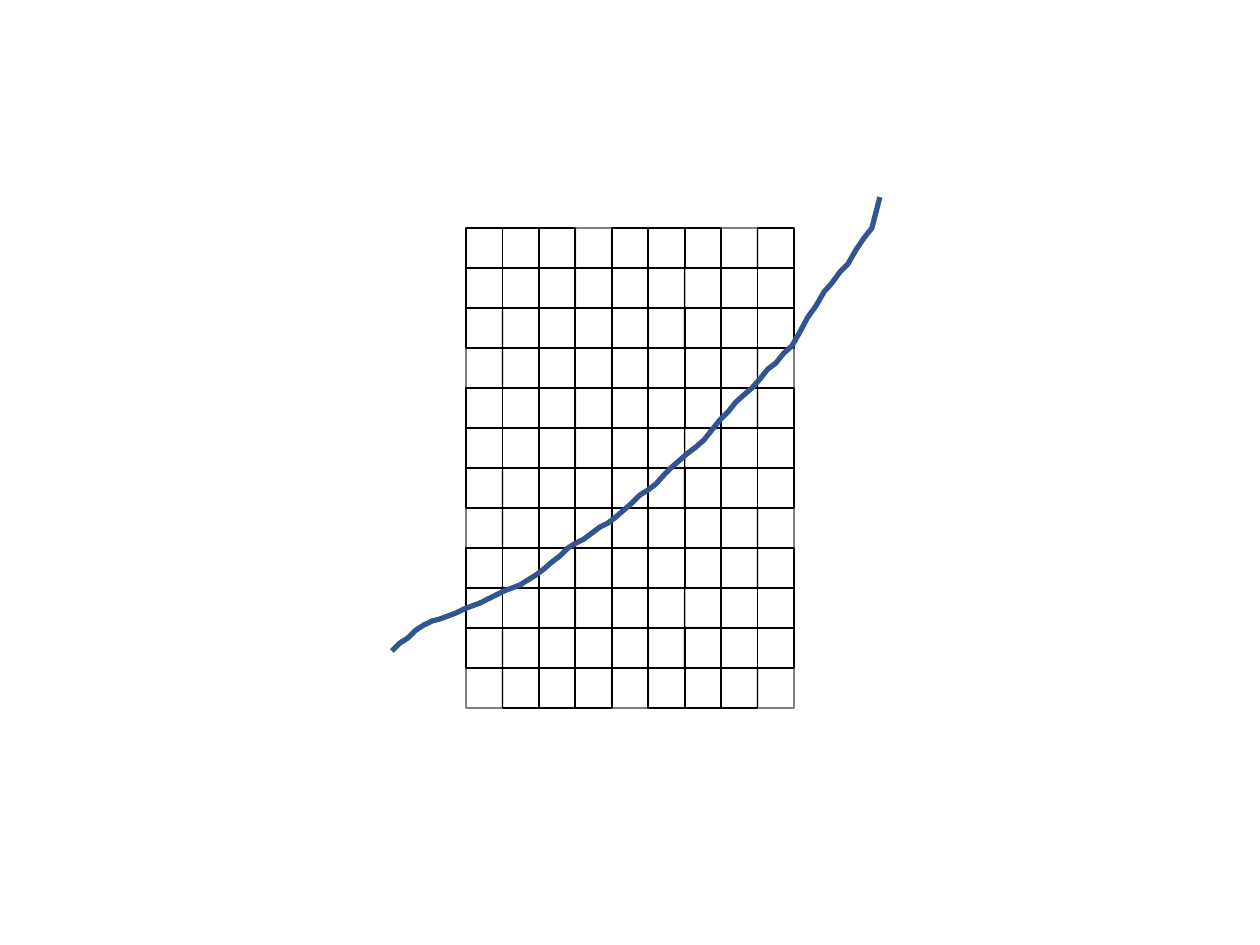
import math
import pptx
import pptx.util
import pptx.dml.color
import pptx.enum.shapes
import lxml.etree

SLIDE_WIDTH, SLIDE_HEIGHT, PX_PER_INCH = 1260, 945, 126
BLACK, BLUE = "000000", "325491"

GRID_LEFT, GRID_TOP, GRID_WIDTH, GRID_HEIGHT = 466, 228, 328, 480
ROWS, COLS = 12, 9
FAINT_EVERY, FAINT_OPACITY = 4, 50

CURVE_LEFT, CURVE_STEP = 392, 8
CURVE_TILT, CURVE_CENTER_X, CURVE_CENTER_Y = 4.7, 637, 425
CURVE_HEIGHTS = [
    651, 643, 638, 630, 625, 621, 619, 616, 613, 609, 606, 603, 599, 595, 591, 588,
    585, 580, 575, 569, 562, 556, 548, 543, 539, 533, 527, 523, 517, 510, 503, 495,
    490, 484, 475, 467, 460, 453, 447, 440, 430, 420, 412, 402, 395, 388, 379, 369,
    363, 353, 346, 332, 317, 306, 292, 283, 272, 264, 250, 238, 228, 197,
]


def px(n):
    return pptx.util.Emu(round(n * 914400 / PX_PER_INCH))


def outline(s, color, width, opacity=100):
    s.shadow.inherit = False
    s.fill.background()
    s.line.width = pptx.util.Pt(width)
    s.line.color.rgb = pptx.dml.color.RGBColor.from_string(color)
    if opacity < 100:
        clr = s.line._get_or_add_ln().find(".//" + pptx.oxml.ns.qn("a:srgbClr"))
        lxml.etree.SubElement(clr, pptx.oxml.ns.qn("a:alpha"), val=str(opacity * 1000))


prs = pptx.Presentation()
prs.slide_width, prs.slide_height = px(SLIDE_WIDTH), px(SLIDE_HEIGHT)
sp = prs.slides.add_slide(prs.slide_layouts[6]).shapes

cell_width, cell_height = GRID_WIDTH / COLS, GRID_HEIGHT / ROWS
for row in range(ROWS):
    for col in range(COLS):
        left = GRID_LEFT + col * cell_width
        top = GRID_TOP + row * cell_height
        s = sp.add_shape(pptx.enum.shapes.MSO_SHAPE.RECTANGLE,
                         px(left), px(top), px(cell_width), px(cell_height))
        on_faint_diagonal = (row + col) % FAINT_EVERY == FAINT_EVERY - 1
        outline(s, BLACK, 1, FAINT_OPACITY if on_faint_diagonal else 100)

cos, sin = math.cos(math.radians(CURVE_TILT)), math.sin(math.radians(CURVE_TILT))
untilted = []
for i, y in enumerate(CURVE_HEIGHTS):
    dx = CURVE_LEFT + i * CURVE_STEP - CURVE_CENTER_X
    dy = y - CURVE_CENTER_Y
    untilted.append((px(CURVE_CENTER_X + dx * cos + dy * sin),
                     px(CURVE_CENTER_Y + dy * cos - dx * sin)))

builder = sp.build_freeform(*untilted[0])
builder.add_line_segments(untilted[1:], close=False)
s = builder.convert_to_shape()
s.rotation = CURVE_TILT
outline(s, BLUE, 3)

prs.save("out.pptx")
